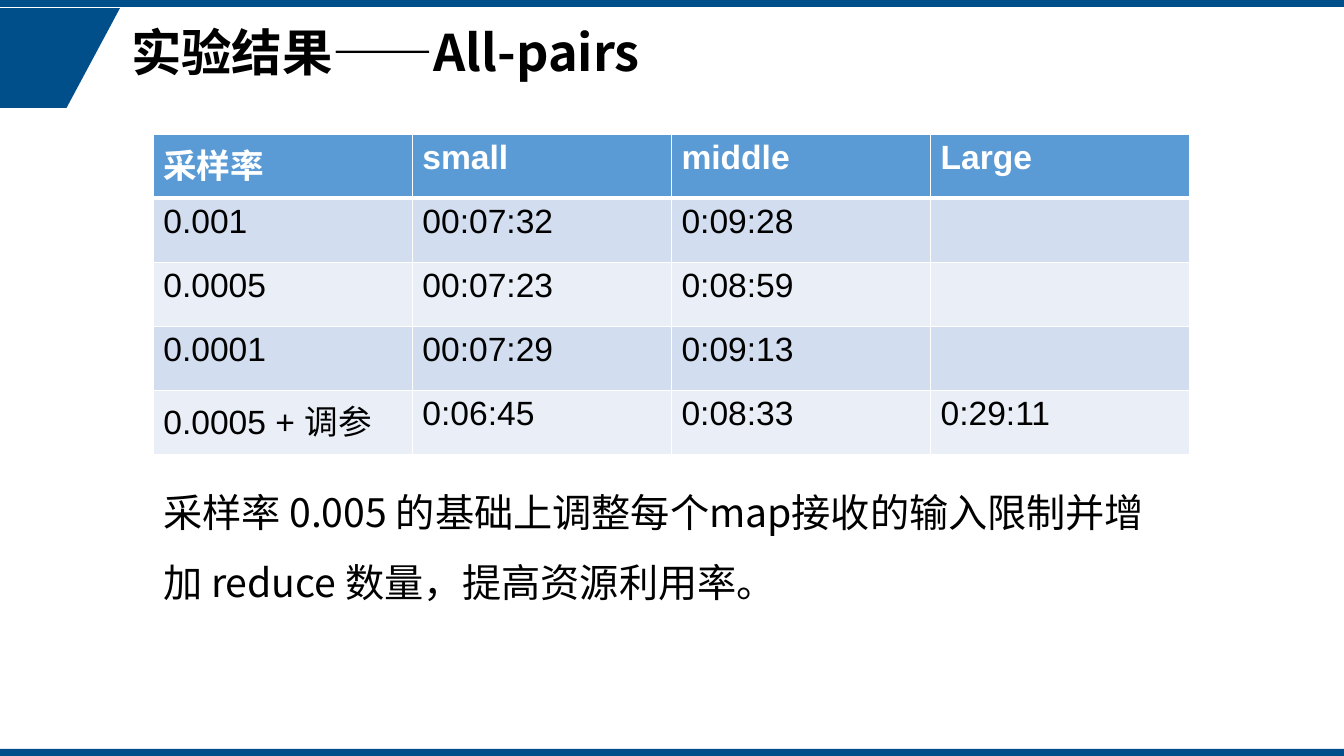
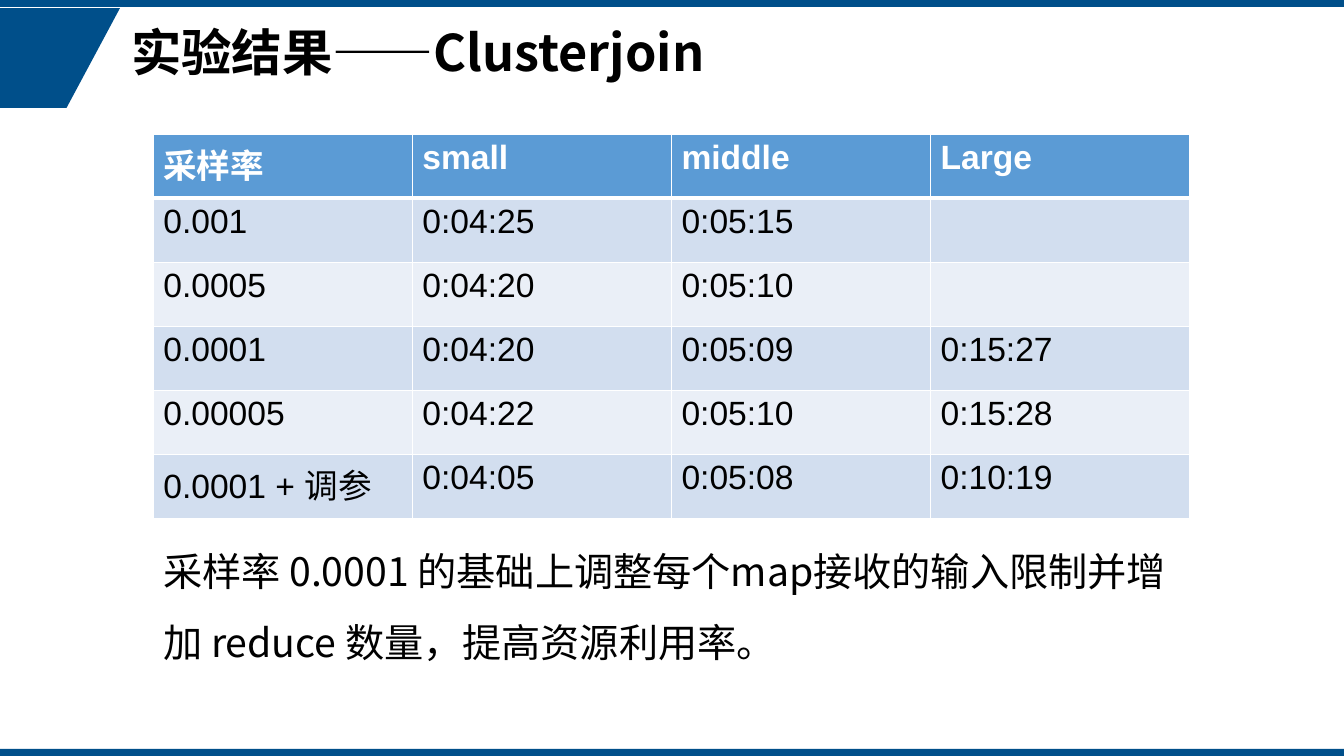
import pptx
import pptx.util
import pptx.dml.color
import pptx.enum.lang
import pptx.enum.shapes
import pptx.enum.text
import pptx.oxml
import pptx.oxml.ns

Inches, Pt = pptx.util.Inches, pptx.util.Pt
RGBColor = pptx.dml.color.RGBColor

# Shared look
NAVY = RGBColor(0x00, 0x4F, 0x8A)
HEADER = RGBColor(0x5B, 0x9B, 0xD5)
BAND_DARK = RGBColor(0xD2, 0xDE, 0xEF)
BAND_LIGHT = RGBColor(0xEA, 0xEF, 0xF7)
WHITE = RGBColor(0xFF, 0xFF, 0xFF)
BLACK = RGBColor(0x00, 0x00, 0x00)

CJK = "Noto Sans CJK SC"
TITLE = dict(name=CJK, size=Pt(36), bold=True, color=BLACK)
NOTE = dict(name=CJK, size=Pt(28), bold=False, color=BLACK)
HEAD_CELL = dict(name="Arial", size=Pt(24), bold=True, color=WHITE)
BODY_CELL = dict(HEAD_CELL, bold=False, color=BLACK)

WIDTH, HEIGHT = Inches(13.33), Inches(7.5)
BAND = Inches(0.07)
TITLE_BOX = Inches(1.2), Inches(0.05), Inches(11.21), Inches(0.99)
CORNER_BOX = 0, Inches(0.08), Inches(1.19), Inches(0.99)
TABLE_BOX = Inches(1.52), Inches(1.33), Inches(10.28), Pt(45.8)
NOTE_WIDTH, NOTE_HEIGHT = Inches(10.2), Inches(2.14)

COLUMNS = ["采样率", "small", "middle", "Large"]
NOTE_TEXT = ("采样率 {} 的基础上调整每个map接收的输入限制并"
             "增加 reduce 数量，提高资源利用率。")

RESULTS = [
    dict(method="All-pairs", rate="0.005", note_top=Inches(4.56), rows=[
        ["0.001", "00:07:32", "0:09:28", ""],
        ["0.0005", "00:07:23", "0:08:59", ""],
        ["0.0001", "00:07:29", "0:09:13", ""],
        ["0.0005 + 调参", "0:06:45", "0:08:33", "0:29:11"],
    ]),
    dict(method="Clusterjoin", rate="0.0001", note_top=Inches(5.15), rows=[
        ["0.001", "0:04:25", "0:05:15", ""],
        ["0.0005", "0:04:20", "0:05:10", ""],
        ["0.0001", "0:04:20", "0:05:09", "0:15:27"],
        ["0.00005", "0:04:22", "0:05:10", "0:15:28"],
        ["0.0001 + 调参", "0:04:05", "0:05:08", "0:10:19"],
    ]),
]


def write(tf, text, style, spacing=1.0):
    """Put one formatted run in the first paragraph."""
    p = tf.paragraphs[0]
    p.alignment = pptx.enum.text.PP_ALIGN.LEFT
    p.line_spacing = spacing
    r = p.add_run()
    r.text = text
    for key, value in style.items():
        if key == "color":
            r.font.color.rgb = value
        else:
            setattr(r.font, key, value)
    r.font.language_id = pptx.enum.lang.MSO_LANGUAGE_ID.SIMPLIFIED_CHINESE
    # East Asian typeface follows the latin one
    latin = r.font._element.find(pptx.oxml.ns.qn("a:latin"))
    latin.addnext(pptx.oxml.parse_xml(
        f'<a:ea {pptx.oxml.ns.nsdecls("a")} typeface="{CJK}"/>'))


def paint(sp, color):
    sp.shadow.inherit = False
    sp.fill.solid()
    sp.fill.fore_color.rgb = color
    sp.line.fill.background()


def add_frame(s):
    """Slanted corner and the bands at top and bottom."""
    x, y, w, h = CORNER_BOX
    corner = s.shapes.build_freeform(x, y)
    corner.add_line_segments([(x + w, y), (x + Inches(0.66), y + h), (x, y + h)])
    paint(corner.convert_to_shape(), NAVY)
    for top in (0, HEIGHT - BAND):
        paint(s.shapes.add_shape(pptx.enum.shapes.MSO_SHAPE.RECTANGLE,
                                 0, top, WIDTH, BAND), NAVY)


def add_title(s, text, box):
    sp = s.shapes.title
    sp.left, sp.top, sp.width, sp.height = box
    tf = sp.text_frame
    tf.auto_size = pptx.enum.text.MSO_AUTO_SIZE.NONE
    tf.vertical_anchor = pptx.enum.text.MSO_ANCHOR.MIDDLE
    write(tf, text, TITLE, 0.9)


def set_borders(cell, widths):
    """Draw white cell edges; widths are points by side."""
    tcPr = cell._tc.get_or_add_tcPr()
    for i, side in enumerate("LRTB"):
        tcPr.insert(i, pptx.oxml.parse_xml(
            f'<a:ln{side} {pptx.oxml.ns.nsdecls("a")} w="{Pt(widths[side])}">'
            f'<a:solidFill><a:srgbClr val="{WHITE}"/></a:solidFill></a:ln{side}>'))


def add_table(s, rows, box):
    x, y, w, row_height = box
    table = s.shapes.add_table(len(rows), len(COLUMNS), x, y, w,
                               row_height * len(rows)).table
    for i, row in enumerate(rows):
        table.rows[i].height = row_height
        fill = HEADER if i == 0 else BAND_DARK if i % 2 else BAND_LIGHT
        style = HEAD_CELL if i == 0 else BODY_CELL
        # The rule under the header is heavier
        widths = dict(L=1, R=1, T=3 if i == 1 else 1, B=3 if i == 0 else 1)
        for j, text in enumerate(row):
            cell = table.cell(i, j)
            cell.fill.solid()
            cell.fill.fore_color.rgb = fill
            set_borders(cell, widths)
            if text:
                write(cell.text_frame, text, style)


def add_note(s, text, box):
    tf = s.shapes.add_textbox(*box).text_frame
    tf.word_wrap = True
    write(tf, text, NOTE, 1.5)


def add_result_slide(prs, method, rate, note_top, rows):
    s = prs.slides.add_slide(prs.slide_layouts[5])
    add_frame(s)
    add_title(s, f"实验结果——{method}", TITLE_BOX)
    add_table(s, [COLUMNS] + rows, TABLE_BOX)
    add_note(s, NOTE_TEXT.format(rate),
             (TABLE_BOX[0], note_top, NOTE_WIDTH, NOTE_HEIGHT))


def main():
    prs = pptx.Presentation()
    prs.slide_width, prs.slide_height = WIDTH, HEIGHT
    for result in RESULTS:
        add_result_slide(prs, **result)
    prs.save("out.pptx")


if __name__ == "__main__":
    main()
